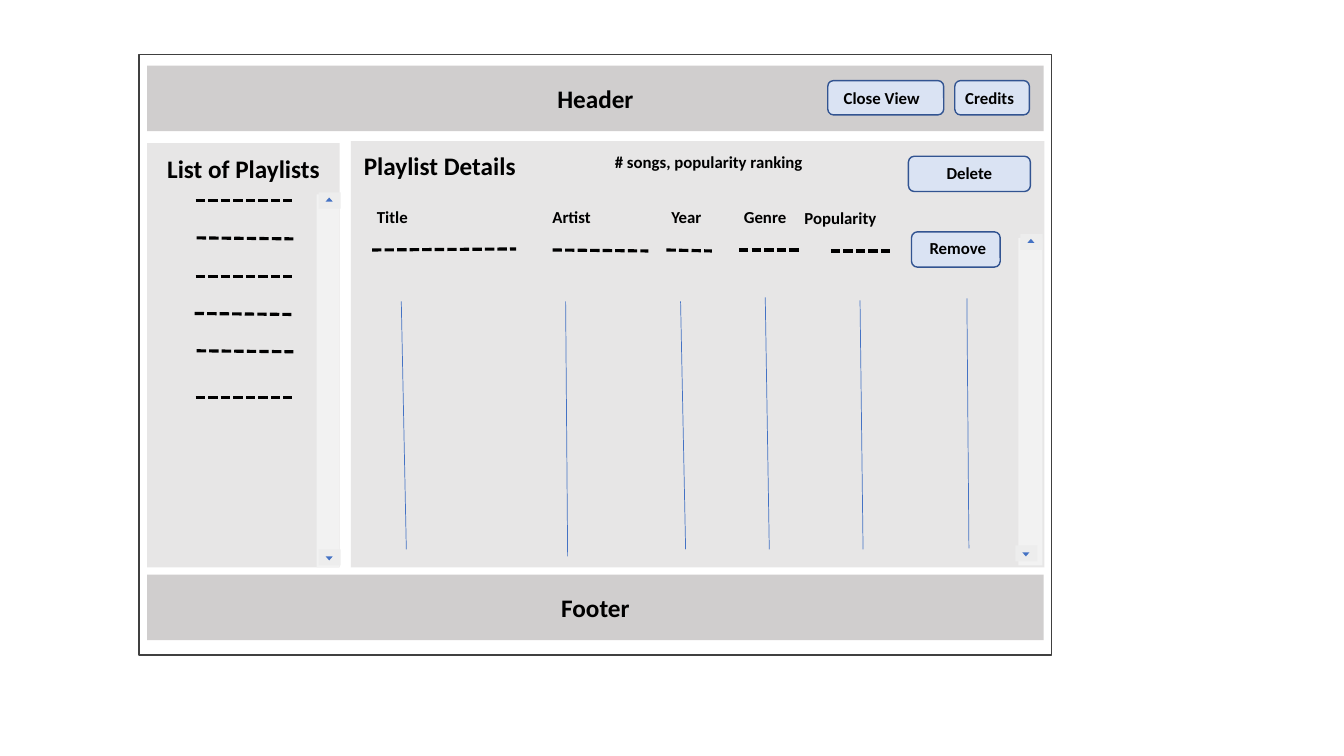
"""Build a wireframe slide of a playlist viewer."""
from pptx import Presentation, util as u
from pptx.dml.color import RGBColor
from pptx.enum import dml, shapes, text
from pptx.oxml import parse_xml
from pptx.oxml.ns import nsdecls

colour = RGBColor.from_string
KIND = shapes.MSO_SHAPE
BLACK, BLUE = "000000", "4472C4"
PANEL, BAND = "E7E6E6", "D0CECE"

deck = Presentation()
deck.slide_width, deck.slide_height = u.Inches(13.33), u.Inches(7.5)
page = deck.slides.add_slide(deck.slide_layouts[6])


def add_block(left, top, width, height, fill=None, line=None, kind=KIND.RECTANGLE):
    block = page.shapes.add_shape(kind, *map(u.Inches, (left, top, width, height)))
    block.shadow.inherit = False
    if fill:
        block.fill.solid()
        block.fill.fore_color.rgb = colour(fill)
    else:
        block.fill.background()
    if line:
        block.line.color.rgb = colour(line)
        block.line.width = u.Pt(1)
    else:
        block.line.fill.background()
    return block


def write(box, words, size, align, wrap=True):
    frame = box.text_frame
    frame.word_wrap = wrap
    para = frame.paragraphs[0]
    para.text, para.alignment = words, align
    para.font.name, para.font.size, para.font.bold = "Calibri", u.Pt(size), True
    para.font.color.rgb = colour(BLACK)


LEFT, CENTER = text.PP_ALIGN.LEFT, text.PP_ALIGN.CENTER

add_block(1.38, 0.54, 9.05, 5.96, line="404040")
for words, top in (("Header", 0.65), ("Footer", 5.7)):
    write(add_block(1.46, top, 8.89, 0.65, BAND), words, 18, CENTER)
add_block(3.48, 1.4, 6.88, 4.23, PANEL)
add_block(1.46, 1.42, 1.91, 4.21, PANEL)

for button in ((9.04, 2.3, 0.88, 0.35), (9.01, 1.55, 1.21, 0.35),
               (9.47, 0.8, 0.74, 0.34), (8.21, 0.8, 1.15, 0.34)):
    add_block(*button, "DAE3F3", "325491", KIND.ROUNDED_RECTANGLE)

labels = [
    ("Playlist Details", 3.51, 1.44, 1.72, 18, LEFT),
    ("List of Playlists", 1.56, 1.47, 1.73, 18, LEFT),
    ("# songs, popularity ranking", 6, 1.46, 2.2, 12, LEFT),
    ("Title", 3.64, 2, 1.05, 12, LEFT),
    ("Artist", 5.38, 2, 1.05, 12, LEFT),
    ("Year", 6.56, 2, 0.66, 12, LEFT),
    ("Genre", 7.28, 2, 0.66, 12, LEFT),
    ("Popularity", 7.88, 2.01, 0.96, 12, LEFT),
    ("Remove", 9.02, 2.31, 0.96, 12, CENTER),
    ("Delete", 9.01, 1.57, 1.21, 12, CENTER),
    ("Credits", 9.47, 0.82, 0.69, 12, CENTER),
    ("Close View", 8.21, 0.82, 1.07, 12, CENTER),
]
for words, left, top, width, size, align in labels:
    height = 0.4 if size == 18 else 0.3
    box = page.shapes.add_textbox(*map(u.Inches, (left, top, width, height)))
    write(box, words, size, align, wrap=size == 12)
    box.text_frame.auto_size = text.MSO_AUTO_SIZE.SHAPE_TO_FIT_TEXT

playlist_rows = [(left, top, left + 0.96, end) for left, top, end in (
    (1.94, 1.99, 1.99), (1.95, 2.36, 2.37), (1.94, 2.74, 2.74),
    (1.93, 3.11, 3.12), (1.95, 3.48, 3.49), (1.94, 3.94, 3.94))]
song_fields = [(3.69, 2.48, 5.12, 2.47), (5.48, 2.48, 6.43, 2.49), (6.61, 2.48, 7.06, 2.49),
               (7.33, 2.48, 7.94, 2.48), (8.24, 2.49, 8.84, 2.49)]
column_guides = [(3.98, 2.99, 4.03, 5.45), (5.61, 2.99, 5.63, 5.52), (6.75, 2.99, 6.8, 5.45),
                 (7.59, 2.95, 7.63, 5.45), (8.53, 2.98, 8.56, 5.45), (9.59, 2.96, 9.61, 5.44)]
for ends, ink, weight, dash in (
        (playlist_rows + song_fields, BLACK, 2.25, dml.MSO_LINE.SQUARE_DOT),
        (column_guides, BLUE, 0.5, None)):
    for points in ends:
        rule = page.shapes.add_connector(shapes.MSO_CONNECTOR.STRAIGHT, *map(u.Inches, points))
        rule.line.color.rgb = colour(ink)
        rule.line.width = u.Pt(weight)
        rule.line.dash_style = dash
        rule._element.spPr.append(parse_xml(f"<a:effectLst {nsdecls('a')}/>"))

scrollbars = [
    ((3.14, 1.93, 0.22, 3.7), (3.16, 1.91), (3.16, 5.45)),
    ((10.1, 2.36, 0.24, 3.25), (10.12, 2.32), (10.07, 5.41)),
]
for track, up, down in scrollbars:
    add_block(*track, "F2F2F2")
    for (left, top), drop, turn in ((up, 0.05, 0), (down, 0.07, 180)):
        add_block(left, top, 0.22, 0.16, "EDEDED")
        arrow = add_block(left + 0.07, top + drop, 0.07, 0.04, BLUE, kind=KIND.ISOSCELES_TRIANGLE)
        arrow.rotation = turn

deck.save("out.pptx")
